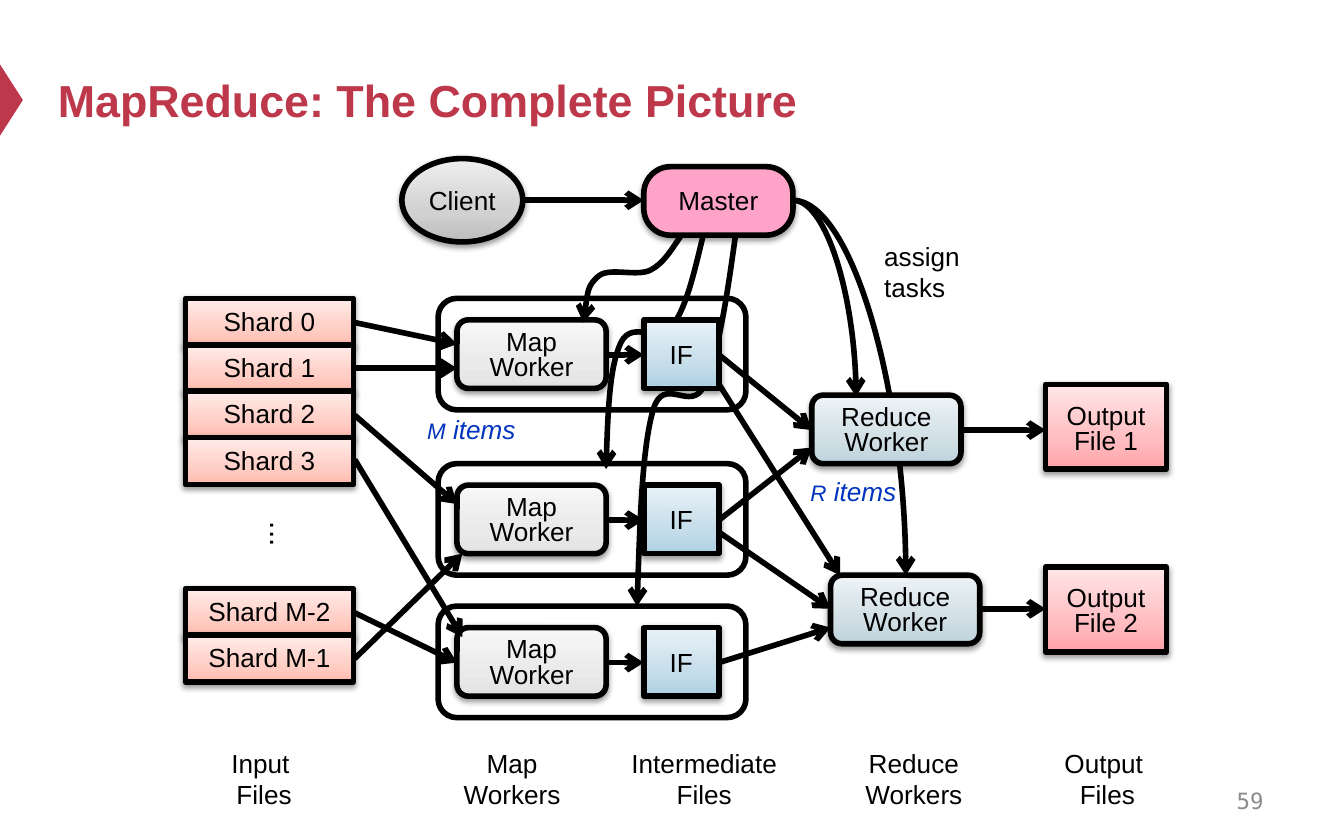
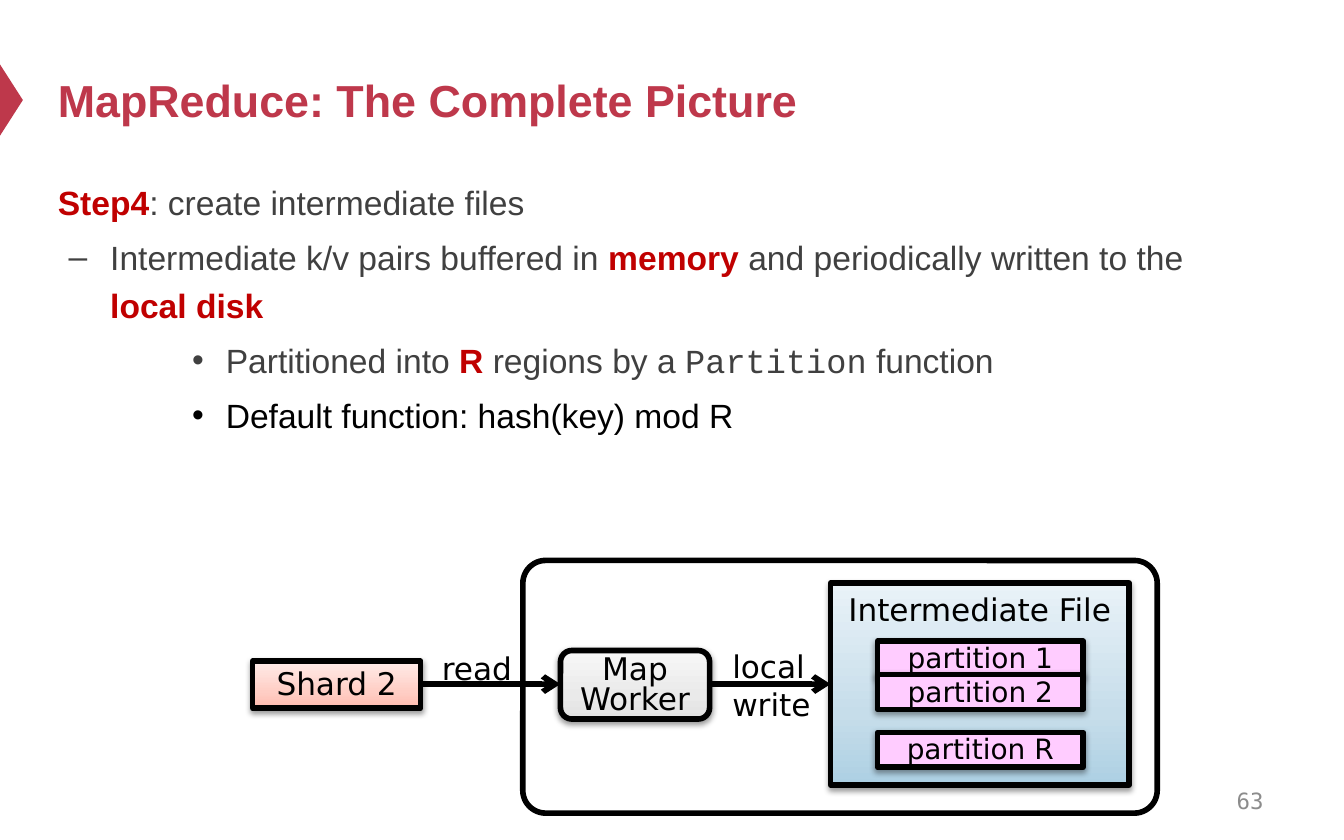
from lxml import etree
from pptx import Presentation
from pptx.dml.color import RGBColor
from pptx.enum.shapes import MSO_CONNECTOR, MSO_SHAPE
from pptx.enum.text import MSO_ANCHOR, MSO_AUTO_SIZE, PP_ALIGN
from pptx.oxml.ns import qn
from pptx.util import Inches, Pt

RECT, ROUND = MSO_SHAPE.RECTANGLE, MSO_SHAPE.ROUNDED_RECTANGLE
OVAL, TRIANGLE = MSO_SHAPE.OVAL, MSO_SHAPE.ISOSCELES_TRIANGLE
STRAIGHT, CURVE = MSO_CONNECTOR.STRAIGHT, MSO_CONNECTOR.CURVE
LEFT, CENTER, RIGHT = PP_ALIGN.LEFT, PP_ALIGN.CENTER, PP_ALIGN.RIGHT
TOP, MIDDLE = MSO_ANCHOR.TOP, MSO_ANCHOR.MIDDLE
NO_FIT, GROW = MSO_AUTO_SIZE.NONE, MSO_AUTO_SIZE.SHAPE_TO_FIT_TEXT

COLORS = {"accent": "BE384B", "black": "000000", "number": "8C8C8C",
          "key": "C00000", "body": "404040", "blue": "0233BE",
          "master": "FFA3C8", "partition": "FFCCFF"}
GRADIENTS = {"shard": ("FFBBAE", "FFCEC5", "FFECE9"),
             "file": ("ADD0E3", "C6DDEA", "E9F2F8"),
             "map": ("E2E2E2", "EAEAEA", "F7F7F7"),
             "reduce": ("BDD3DB", "D1DFE5", "EDF3F5"),
             "output": ("FFA2A8", "FFBDC1", "FFE6E7"),
             "client": ("BDBDBD", "D1D1D1", "EEEEEE")}
STOPS = (0, 35000, 100000)
SANS, MONO, CODE, WIDE = "Arial", "DejaVu Sans Mono", "Courier New", "DejaVu Sans"
TITLE = "MapReduce: The Complete Picture"

BAR_INS = (0.1, 0.03, 0.1, 0.05)
WORKER_INS = (0.08, 0.03, 0.08, 0)
OUTPUT_INS = (0.1, 0.05, 0.1, 0)
NODE_INS = (0.08, 0.03, 0.08, 0.04)
BOX_INS = (0.1, 0.05, 0.1, 0.05)
WORKER_SIZE = (1.11, 0.51)
SHARD_SIZE = (1.25, 0.35)

SHARD_STACKS = [(2.22, ["Shard 0", "Shard 1", "Shard 2", "Shard 3"]),
                (4.38, ["Shard M-2", "Shard M-1"])]
MAP_TOPS = [2.22, 3.45, 4.51]
REDUCERS = [(6.04, 2.94), (6.18, 4.28)]
OUTPUTS = [("Output\nFile 1", 2.86), ("Output\nFile 2", 4.22)]
ARROWS = [
    ((2.64, 2.4), (3.4, 2.56)), ((2.64, 2.74), (3.4, 2.74)),
    ((2.64, 3.09), (3.4, 3.75)), ((2.64, 4.9), (3.44, 4.12)),
    ((2.64, 4.56), (3.4, 4.93)), ((2.64, 3.42), (3.44, 4.74)),
    ((3.89, 1.49), (4.79, 1.49)),
    ((5.35, 2.64), (6.04, 3.2)), ((5.35, 2.86), (6.25, 4.28)),
    ((5.35, 3.87), (6.04, 3.33)), ((5.35, 3.96), (6.18, 4.53)),
    ((5.35, 4.93), (6.18, 4.67)),
    ((7.15, 3.2), (7.78, 3.2)), ((7.29, 4.53), (7.78, 4.53)),
]
ASSIGN_MAP = [
    [(5.47, 1.77), (5.41, 2.21), (5.34, 2.66), (5.24, 2.87),
     (5.14, 3.08), (4.94, 2.78), (4.86, 3.05),
     (4.78, 3.33), (4.76, 3.92), (4.74, 4.51)],
    [(5.24, 1.72), (5.17, 2.01), (5.11, 2.29), (5, 2.43),
     (4.9, 2.57), (4.71, 2.37), (4.62, 2.55),
     (4.54, 2.72), (4.52, 3.11), (4.51, 3.49)],
    [(5.07, 1.75), (5, 1.85), (4.94, 1.96), (4.84, 2.01),
     (4.74, 2.06), (4.54, 1.99), (4.46, 2.05),
     (4.37, 2.12), (4.36, 2.26), (4.34, 2.4)],
]
ASSIGN_START, ASSIGN_ENDS = (5.9, 1.49), [(6.74, 4.28), (6.37, 2.95)]
LABELS = [
    ("Input \vFiles", (1.62, 5.51, 0.69, 0.57), CENTER, False),
    ("Map Workers", (3.19, 5.51, 1.24, 0.57), CENTER, True),
    ("Intermediate Files", (4.38, 5.51, 1.72, 0.57), CENTER, True),
    ("Reduce Workers", (6.18, 5.51, 1.24, 0.57), CENTER, True),
    ("Output \vFiles", (7.82, 5.51, 0.84, 0.57), CENTER, False),
    ("assign \vtasks", (6.48, 1.74, 0.82, 0.57), LEFT, False),
]
COUNTS = [("M", (3.08, 3.03, 1.24, 0.34), LEFT),
          ("R", (5.78, 3.49, 1.14, 0.34), CENTER)]

STEPS = [
    (0, [("Step4", "key"), (": create intermediate files", "body")]),
    (1, [("Intermediate k/v pairs buffered in ", "body"), ("memory", "key"),
         (" and periodically written to the ", "body"), ("local disk", "key")]),
    (2, [("Partitioned into ", "body"), ("R", "key"),
         (" regions by a ", "body"), ("Partition", "code"),
         (" function", "body")]),
    (2, [("Default function: hash(key) mod R", "black")]),
]
LEVELS = [(0, 0, None), (0.39, -0.31, "–"), (1.25, -0.25, "•")]
PARTITIONS = [("partition 1", 4.77), ("partition 2", 5.02), ("partition R", 5.45)]
READ_ARROWS = [((3.13, 5.09), (4.17, 5.09)), ((5.28, 5.09), (6.18, 5.09))]
FLOW_LABELS = [("read", (3.19, 4.78, 0.73, 0.38)),
               ("local\vwrite", (5.35, 4.77, 0.79, 0.66))]


def inches(values):
    return [Inches(v) for v in values]


def rgb(name):
    return RGBColor.from_string(COLORS[name])


def style_run(r, size, font=SANS, color="black", bold=False, italic=False):
    r.font.size, r.font.name = Pt(size), font
    r.font.color.rgb = rgb(color)
    r.font.bold, r.font.italic = bold, italic


def write(sp, text, size=14, font=SANS, color="black", align=CENTER,
          anchor=MIDDLE, ins=BOX_INS, wrap=False, spacing=None, bold=False):
    tf = sp.text_frame
    tf.text = text
    tf.word_wrap, tf.vertical_anchor = wrap, anchor
    tf.margin_left, tf.margin_top, tf.margin_right, tf.margin_bottom = inches(ins)
    for p in tf.paragraphs:
        p.alignment = align
        if spacing:
            p.line_spacing = spacing
        for r in p.runs:
            style_run(r, size, font, color, bold)


def add_label(slide, text, at, **style):
    sp = slide.shapes.add_textbox(*inches(at))
    write(sp, text, anchor=TOP, **style)
    sp.text_frame.auto_size = GROW
    return sp


def outline(sp):
    sp.line.color.rgb = rgb("black")
    sp.line.width = Pt(3)


def add_arrowhead(sp):
    ln = sp.line._get_or_add_ln()
    etree.SubElement(ln, qn("a:tailEnd"), type="arrow")


def add_shadow(sp):
    effects = sp.element.spPr.find(qn("a:effectLst"))
    shadow = etree.SubElement(effects, qn("a:outerShdw"), blurRad="39370",
                              dist="20320", dir="5400000", rotWithShape="0")
    color = etree.SubElement(shadow, qn("a:srgbClr"), val=COLORS["black"])
    etree.SubElement(color, qn("a:alpha"), val="38000")


def paint(sp, fill):
    if fill in COLORS:
        sp.fill.solid()
        sp.fill.fore_color.rgb = rgb(fill)
        return
    sp.fill.gradient()
    sp.fill.gradient_angle = 90
    stops = sp.element.spPr.find(".//" + qn("a:gsLst"))
    for gs in list(stops):
        stops.remove(gs)
    for pos, color in zip(STOPS, GRADIENTS[fill]):
        gs = etree.SubElement(stops, qn("a:gs"), pos=str(pos))
        etree.SubElement(gs, qn("a:srgbClr"), val=color)


def add_box(slide, kind, at, fill, text, adj=None, **style):
    sp = slide.shapes.add_shape(kind, *inches(at))
    sp.shadow.inherit = False
    if adj:
        sp.adjustments[0] = adj
    paint(sp, fill)
    outline(sp)
    add_shadow(sp)
    write(sp, text, **style)


def add_frame(slide, at, adj=0.167):
    sp = slide.shapes.add_shape(ROUND, *inches(at))
    sp.shadow.inherit = False
    sp.adjustments[0] = adj
    sp.fill.background()
    outline(sp)


def add_arrow(slide, start, end, kind=STRAIGHT):
    sp = slide.shapes.add_connector(kind, *inches(start + end))
    if kind == CURVE:
        sp.element.spPr.find(qn("a:prstGeom")).set("prst", "curvedConnector2")
    outline(sp)
    add_arrowhead(sp)
    etree.SubElement(sp.element.spPr, qn("a:effectLst"))


def add_curve(slide, points):
    points = [tuple(inches(pt)) for pt in points]
    builder = slide.shapes.build_freeform(*points[0])
    builder.add_line_segments(points[1:], close=False)
    sp = builder.convert_to_shape()
    outline_path = sp.element.spPr.find(".//" + qn("a:path"))
    segments = outline_path.findall(qn("a:lnTo"))
    for i in range(0, len(segments), 3):
        bezier = etree.SubElement(outline_path, qn("a:cubicBezTo"))
        for seg in segments[i:i + 3]:
            bezier.append(seg[0])
            outline_path.remove(seg)
    sp.shadow.inherit = False
    sp.fill.background()
    outline(sp)
    add_arrowhead(sp)


def place(sp, at):
    sp.left, sp.top, sp.width, sp.height = inches(at)


def add_slide(prs, layout, number):
    slide = prs.slides.add_slide(prs.slide_layouts[layout])
    title = slide.shapes.title
    place(title, (0.33, 0.25, 9, 0.98))
    write(title, TITLE, 24, color="accent", align=LEFT, wrap=True, bold=True)
    title.text_frame.auto_size = NO_FIT
    sp = slide.shapes.add_textbox(*inches((7.17, 5.79, 2.33, 0.33)))
    write(sp, number, 12, MONO, "number", RIGHT, wrap=True)
    return slide


def add_marker(prs, slide):
    sp = slide.shapes.add_shape(TRIANGLE, *inches((-0.18, 0.66, 0.53, 0.17)))
    sp.rotation = 90
    sp.shadow.inherit = False
    paint(sp, "accent")
    sp.line.fill.background()
    sp.element.nvSpPr.cNvPr.set("id", "99")
    prs.slide_master.shapes.element.append(sp.element)


def add_worker(slide, at, fill, text, **style):
    add_box(slide, ROUND, at + WORKER_SIZE, fill, text, ins=WORKER_INS,
            spacing=0.8, **style)


def add_shard(slide, at, text, **style):
    add_box(slide, RECT, at + SHARD_SIZE, "shard", text, ins=BAR_INS, **style)


def build_overview(slide):
    add_arrow(slide, ASSIGN_START, ASSIGN_ENDS[0], CURVE)
    for points in ASSIGN_MAP[:2]:
        add_curve(slide, points)
    for top, names in SHARD_STACKS:
        for i, name in enumerate(names):
            add_shard(slide, (1.38, top + i * 0.345), name)
    for top in MAP_TOPS:
        add_box(slide, RECT, (4.79, top + 0.16, 0.56, 0.51), "file", "IF", wrap=True)
        add_arrow(slide, (4.51, top + 0.42), (4.79, top + 0.42))
        add_worker(slide, (3.4, top + 0.16), "map", "Map\vWorker")
        add_frame(slide, (3.26, top, 2.29, 0.83))
    for at in REDUCERS:
        add_worker(slide, at, "reduce", "Reduce\vWorker")
    for text, top in OUTPUTS:
        add_box(slide, RECT, (7.78, top, 0.9, 0.63), "output", text,
                ins=OUTPUT_INS, spacing=0.8)
    add_box(slide, OVAL, (2.99, 1.18, 0.9, 0.62), "client", "Client", ins=NODE_INS)
    add_box(slide, ROUND, (4.79, 1.24) + WORKER_SIZE, "master", "Master",
            adj=0.39, ins=NODE_INS)
    add_arrow(slide, ASSIGN_START, ASSIGN_ENDS[1], CURVE)
    add_curve(slide, ASSIGN_MAP[2])
    for start, end in ARROWS:
        add_arrow(slide, start, end)
    for text, at, align, wrap in LABELS:
        add_label(slide, text, at, align=align, wrap=wrap)
    for letter, at, align in COUNTS:
        sp = add_label(slide, letter, at, align=align, wrap=True)
        p = sp.text_frame.paragraphs[0]
        p.add_run().text = " items"
        for r, size in zip(p.runs, (12, 14)):
            style_run(r, size, color="blue", italic=True)
    add_label(slide, "...", (1.9, 3.79, 0.39, 0.37), size=16).rotation = 90


def fill_body(body):
    place(body, (0.33, 1.24, 9, 4.12))
    tf = body.text_frame
    tf.auto_size = NO_FIT
    for i, (level, parts) in enumerate(STEPS):
        p = tf.add_paragraph() if i else tf.paragraphs[0]
        p.level = level
        margin, indent, bullet = LEVELS[level]
        pPr = p._p.get_or_add_pPr()
        pPr.set("marL", str(Inches(margin)))
        pPr.set("indent", str(Inches(indent)))
        if bullet:
            etree.SubElement(pPr, qn("a:buChar"), char=bullet)
        else:
            etree.SubElement(pPr, qn("a:buNone"))
        p.line_spacing = 1.2
        p.space_before = Pt(3.6 if i else 0)
        for text, role in parts:
            r = p.add_run()
            r.text = text
            code = role == "code"
            style_run(r, 18, CODE if code else SANS, "body" if code else role,
                      role == "key")


def build_step(slide):
    fill_body(slide.placeholders[1])
    big = {"size": 16.7, "font": WIDE}
    add_worker(slide, (4.17, 4.84), "map", "Map\vWorker", **big)
    add_shard(slide, (1.88, 4.92), "Shard 2", **big)
    add_box(slide, RECT, (6.18, 4.34, 2.22, 1.5), "file", "Intermediate File",
            anchor=TOP, wrap=True, **big)
    for start, end in READ_ARROWS:
        add_arrow(slide, start, end)
    for text, top in PARTITIONS:
        add_box(slide, RECT, (6.53, top, 1.53, 0.26), "partition", text,
                size=15, font=WIDE, ins=BAR_INS)
    add_frame(slide, (3.89, 4.17, 4.72, 1.88), 0.09)
    for text, at in FLOW_LABELS:
        add_label(slide, text, at, align=LEFT, **big)


def main():
    prs = Presentation()
    prs.slide_width, prs.slide_height = Inches(10), Inches(6.25)
    overview = add_slide(prs, 5, "59")
    add_marker(prs, overview)
    build_overview(overview)
    build_step(add_slide(prs, 1, "63"))
    prs.save("out.pptx")


if __name__ == "__main__":
    main()
